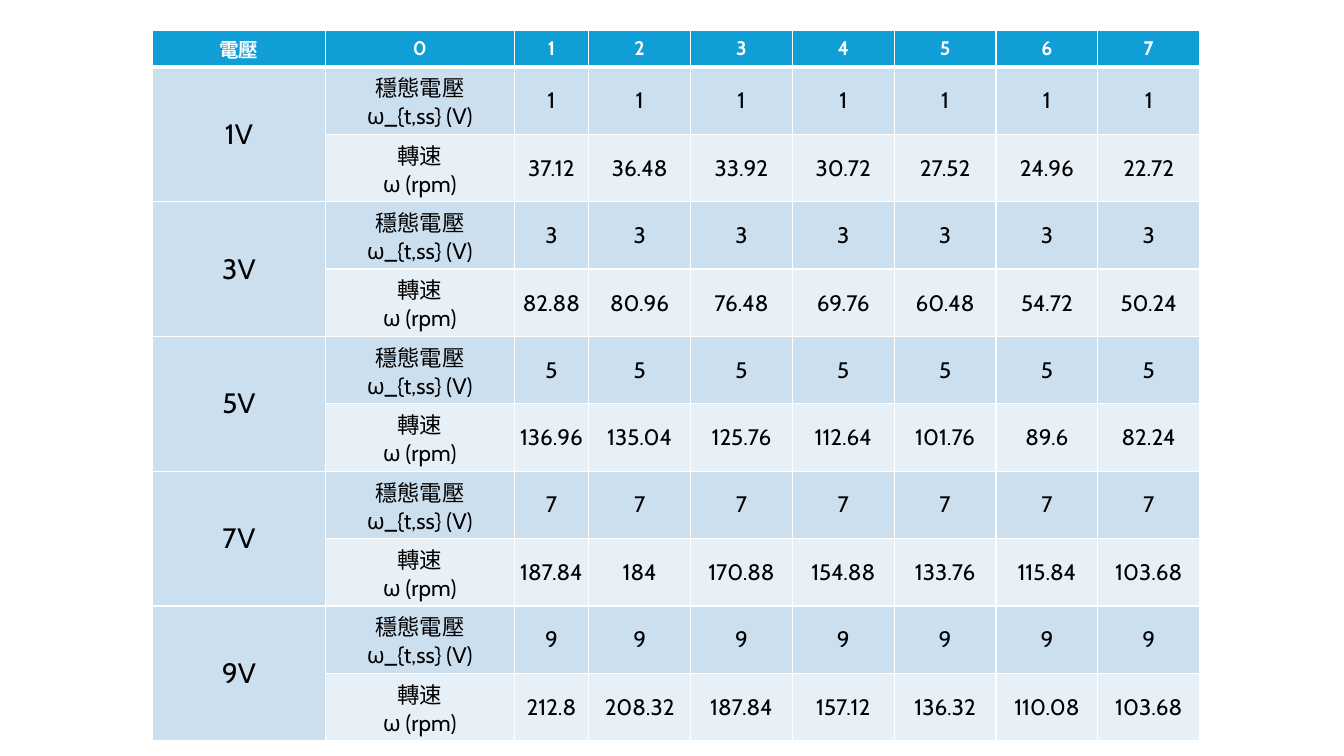
import pptx
import pptx.dml.color
import pptx.enum.text
import pptx.oxml
import pptx.oxml.ns
import pptx.util

Inches = pptx.util.Inches
Pt = pptx.util.Pt

BLUE, MID, PALE = "0F9ED5", "CCDFEF", "E7F0F7"
WHITE, BLACK = "FFFFFF", "000000"
WIDE = (0.08, 0.04, 0.08, 0.04)
TIGHT = (0.01, 0.01, 0.01, 0)

HEAD = ["電壓", *"01234567"]
SPEEDS = {
    1: "37.12 36.48 33.92 30.72 27.52 24.96 22.72",
    3: "82.88 80.96 76.48 69.76 60.48 54.72 50.24",
    5: "136.96 135.04 125.76 112.64 101.76 89.6 82.24",
    7: "187.84 184 170.88 154.88 133.76 115.84 103.68",
    9: "212.8 208.32 187.84 157.12 136.32 110.08 103.68",
}
COLS = [1.72, 1.87, 0.74] + [1.01] * 6
ROWS = [0.32] + [0.62] * (2 * len(SPEEDS))


def color(code):
    return pptx.dml.color.RGBColor.from_string(code)


class Page:
    font = "Cabin"

    def __init__(self, deck):
        self.slide = deck.slides.add_slide(deck.slide_layouts[6])

    def table(self, left, top, cols, rows):
        grid = self.slide.shapes.add_table(
            len(rows), len(cols), Inches(left), Inches(top),
            Inches(sum(cols)), Inches(sum(rows))).table
        grid.first_row = grid.horz_banding = False
        for col, width in zip(grid.columns, cols):
            col.width = Inches(width)
        for row, height in zip(grid.rows, rows):
            row.height = Inches(height)
        return grid

    def edge(self, cell, **sides):
        """Draw white borders; sides gives widths in points by L, R, T, B."""
        props = cell._tc.get_or_add_tcPr()
        for place, side in enumerate("LRTB"):
            width = Pt(sides.get(side, 1))
            line = pptx.oxml.parse_xml(
                f'<a:ln{side} {pptx.oxml.ns.nsdecls("a")} w="{width}">'
                f'<a:solidFill><a:srgbClr val="{WHITE}"/></a:solidFill>'
                f'</a:ln{side}>')
            props.insert(place, line)

    def cell(self, cell, lines, fill, size=16, ink=BLACK, bold=False,
             inset=WIDE, **sides):
        cell.fill.solid()
        cell.fill.fore_color.rgb = color(fill)
        self.edge(cell, **sides)
        cell.vertical_anchor = pptx.enum.text.MSO_ANCHOR.MIDDLE
        (cell.margin_left, cell.margin_top,
         cell.margin_right, cell.margin_bottom) = map(Inches, inset)
        frame = cell.text_frame
        for i, text in enumerate(lines):
            para = frame.add_paragraph() if i else frame.paragraphs[0]
            para.alignment = pptx.enum.text.PP_ALIGN.CENTER
            run = para.add_run()
            run.text = text
            run.font.name = self.font
            run.font.size = Pt(size)
            run.font.bold = bold
            run.font.color.rgb = color(ink)


def main():
    deck = pptx.Presentation()
    deck.slide_width, deck.slide_height = Inches(13.33), Inches(7.5)
    page = Page(deck)
    grid = page.table(1.51, 0.3, COLS, ROWS)

    for c, text in enumerate(HEAD):
        page.cell(grid.cell(0, c), [text], BLUE, 14, WHITE, True, B=3)

    for i, (volt, speeds) in enumerate(SPEEDS.items()):
        top = 1 + 2 * i
        low = top + 1
        rim = 1 if i else 3
        grid.cell(top, 0).merge(grid.cell(low, 0))
        page.cell(grid.cell(top, 0), [f"{volt}V"], MID, 20, T=rim)
        page.cell(grid.cell(low, 0), [], MID)
        page.cell(grid.cell(top, 1), ["穩態電壓", "ω_{t,ss} (V)"], MID, T=rim)
        page.cell(grid.cell(low, 1), ["轉速", "ω (rpm)"], PALE)
        for c, speed in enumerate(speeds.split(), 2):
            page.cell(grid.cell(top, c), [str(volt)], MID, T=rim)
            page.cell(grid.cell(low, c), [speed], PALE, inset=TIGHT)

    deck.save("out.pptx")


if __name__ == "__main__":
    main()
